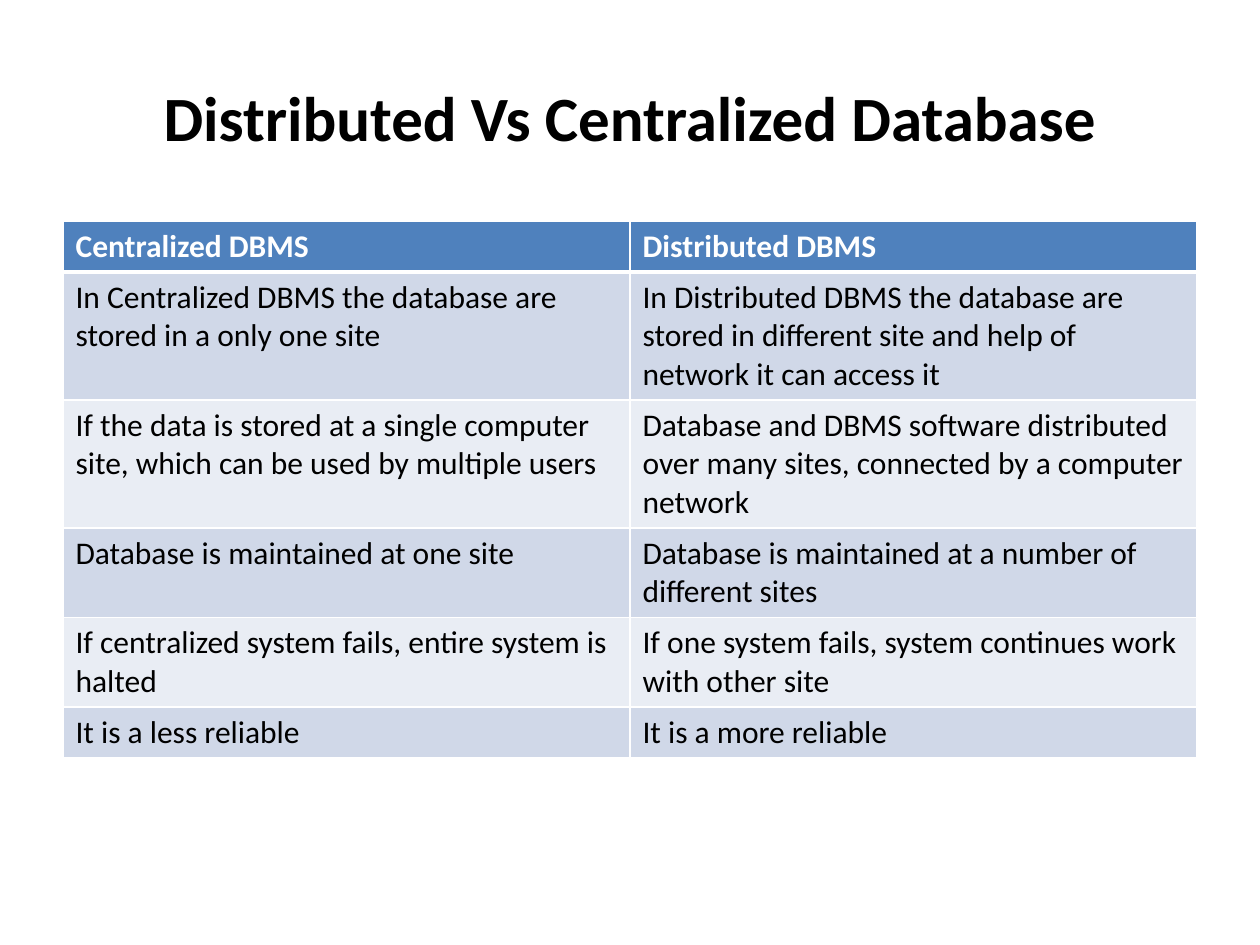
"""Build a slide comparing centralized and distributed databases in a table."""
from pptx import Presentation
from pptx.dml.color import RGBColor
from pptx.enum.text import MSO_ANCHOR, PP_ALIGN
from pptx.oxml import parse_xml
from pptx.oxml.ns import nsdecls
from pptx.util import Pt

PX = 914400 / 126
CENTER, LEFT = PP_ALIGN.CENTER, PP_ALIGN.LEFT
MIDDLE = MSO_ANCHOR.MIDDLE
THEME = {
    "font": "Calibri",
    "text": "000000",
    "header_text": "FFFFFF",
    "header": "4F81BD",
    "bands": ("D0D8E8", "E9EDF4"),
    "border": "FFFFFF",
    "title_size": 36,
    "cell_size": 18,
}
ROWS = [
    ("Centralized DBMS", "Distributed DBMS"),
    ("In Centralized DBMS the database are stored in a only one site",
     "In Distributed DBMS the database are stored in different site and help of network it can access it"),
    ("If the data is stored at a single computer site, which can be used by multiple users",
     "Database and DBMS software distributed over many sites, connected by a computer network"),
    ("Database is maintained at one site",
     "Database is maintained at a number of different sites"),
    ("If centralized system fails, entire system is halted",
     "If one system fails, system continues work with other site"),
    ("It is a less reliable", "It is a more reliable"),
]


def px(*values):
    return [round(v * PX) for v in values]


def write(tf, text, size, color, bold=False, align=LEFT):
    p = tf.paragraphs[0]
    p.alignment = align
    r = p.add_run()
    r.text = text
    r.font.name = THEME["font"]
    r.font.size = Pt(size)
    r.font.bold = bold
    r.font.color.rgb = RGBColor.from_string(color)


prs = Presentation()
prs.slide_width, prs.slide_height = px(1260, 945)
s = prs.slides.add_slide(prs.slide_layouts[5])

title = s.shapes.title
title.left, title.top, title.width, title.height = px(63, 38, 1134, 157)
title.text_frame.vertical_anchor = MIDDLE
write(title.text_frame, "Distributed Vs Centralized Database",
      size=THEME["title_size"], color=THEME["text"], bold=True, align=CENTER)

frame = s.shapes.add_table(len(ROWS), 2, *px(63, 221, 1134, 530))
table = frame.table
for i, texts in enumerate(ROWS):
    table.rows[i].height = px(51)[0]
    is_header = i == 0
    fill = THEME["header"] if is_header else THEME["bands"][(i - 1) % 2]
    color = THEME["header_text"] if is_header else THEME["text"]
    widths = {"L": 1, "R": 1, "T": 3 if i == 1 else 1, "B": 3 if is_header else 1}
    for j, text in enumerate(texts):
        cell = table.cell(i, j)
        write(cell.text_frame, text, size=THEME["cell_size"], color=color, bold=is_header)
        tcPr = cell._tc.get_or_add_tcPr()
        for side, width in widths.items():
            tcPr.append(parse_xml(
                f'<a:ln{side} {nsdecls("a")} w="{Pt(width)}"><a:solidFill>'
                f'<a:srgbClr val="{THEME["border"]}"/></a:solidFill></a:ln{side}>'))
        cell.fill.solid()
        cell.fill.fore_color.rgb = RGBColor.from_string(fill)
frame.height = px(530)[0]

prs.save("out.pptx")
